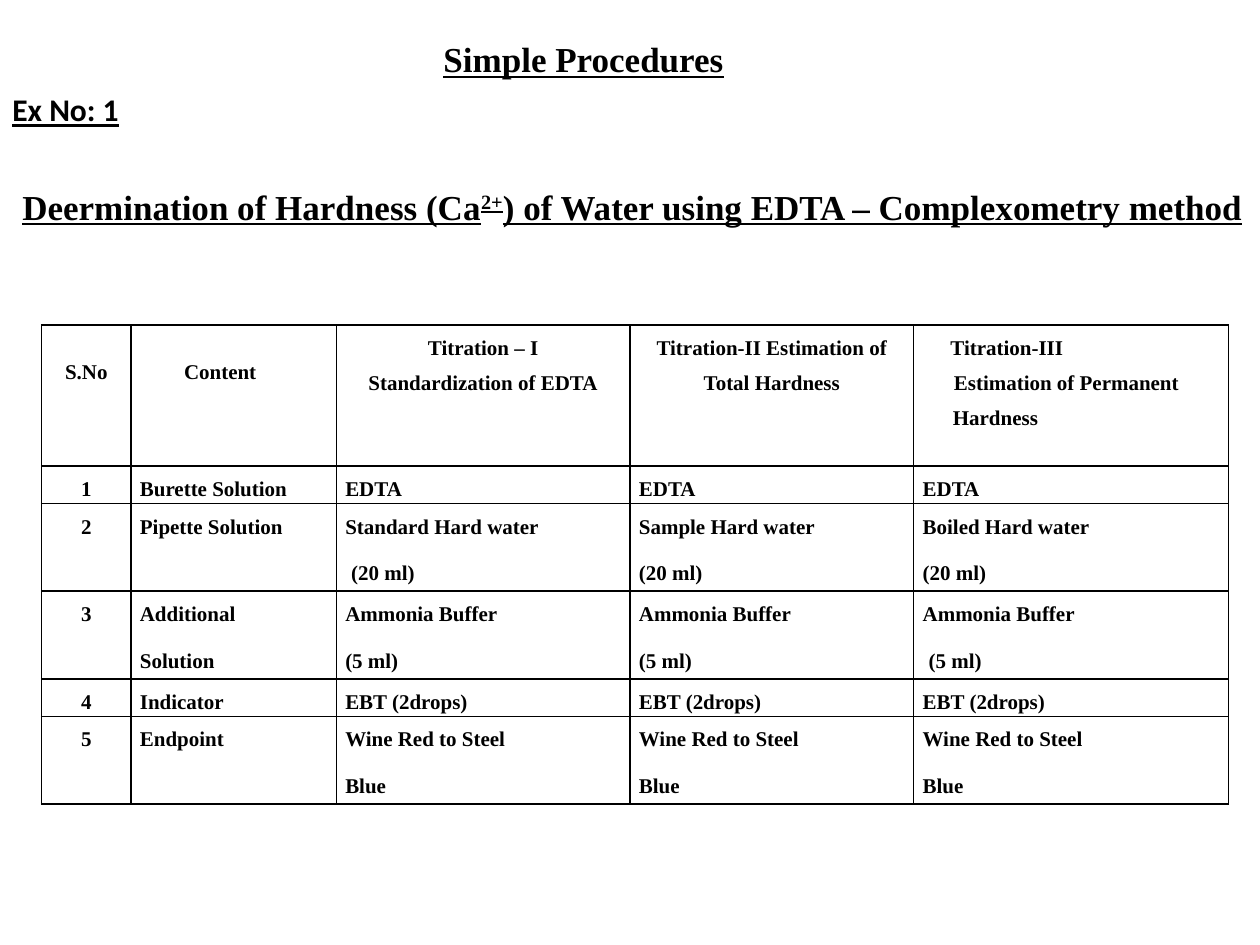
"""Build the slide on water hardness determination with its titration table."""
import pptx
import pptx.dml.color
import pptx.enum.text
import pptx.oxml
import pptx.oxml.ns
import pptx.util

Cm = pptx.util.Cm
Pt = pptx.util.Pt
CENTER = pptx.enum.text.PP_ALIGN.CENTER
BLACK = "000000"
SERIF = "Times New Roman"

HEADINGS = [
    ([("Simple Procedures", 0)], (8.69, 0.64, 6.2, 1.12), 20, SERIF),
    ([("Ex No: 1", 0)], (0, 1.7, 2.69, 1.02), 18, "Calibri"),
    ([("Deermination of Hardness (Ca", 0), ("2+", 30000),
      (") of Water using EDTA – Complexometry method", 0)],
     (0.2, 3.61, 25.35, 1.96), 20, SERIF),
]

TABLE_LEFT, TABLE_TOP = 0.84, 6.55
COLUMN_WIDTHS = [1.8, 4.14, 5.92, 5.72, 6.35]
ROW_HEIGHTS = [2.84, 0.71, 1.42, 1.42, 0.71, 1.42]
CELL_INDENT = 0.18
SHIFTED_INDENT = 0.3
HEADER_DROP = 0.48

HEADER = [
    (["S.No"], [0.18], CENTER, HEADER_DROP),
    (["Content"], [1.07], None, HEADER_DROP),
    (["Titration – I Standardization of EDTA"], [0.48], CENTER, 0),
    (["Titration-II Estimation of Total Hardness"], [0.36], CENTER, 0),
    (["Titration-III", "Estimation of Permanent", "Hardness"], [0.74, 0.81, 0.79], None, 0),
]
ROWS = [
    ["1", "Burette Solution", "EDTA", "EDTA", "EDTA"],
    ["2", "Pipette Solution", "Standard Hard water\n(20 ml)",
     "Sample Hard water\n(20 ml)", "Boiled Hard water\n(20 ml)"],
    ["3", "Additional\nSolution"] + ["Ammonia Buffer\n(5 ml)"] * 3,
    ["4", "Indicator"] + ["EBT (2drops)"] * 3,
    ["5", "Endpoint"] + ["Wine Red to Steel\nBlue"] * 3,
]
SHIFTED_CELLS = {(2, 2), (3, 4)}


def color(value):
    return pptx.dml.color.RGBColor.from_string(value)


def add_text(paragraph, text, size=12, font=SERIF, underline=None, baseline=0):
    run = paragraph.add_run()
    run.text = text
    run.font.size = Pt(size)
    run.font.name = font
    run.font.bold = True
    run.font.underline = underline
    run.font.color.rgb = color(BLACK)
    if baseline:
        run.font._element.set("baseline", str(baseline))


def add_heading(slide, runs, box, size, font):
    shape = slide.shapes.add_textbox(*(Cm(length) for length in box))
    shape.text_frame.word_wrap = False
    for text, baseline in runs:
        add_text(shape.text_frame.paragraphs[0], text, size=size, font=font,
                 underline=True, baseline=baseline)


def add_borders(cell):
    properties = cell._tc.get_or_add_tcPr()
    for position, side in enumerate(("lnL", "lnR", "lnT", "lnB")):
        properties.insert(position, pptx.oxml.parse_xml(
            f'<a:{side} {pptx.oxml.ns.nsdecls("a")} w="{Pt(1)}"><a:solidFill>'
            f'<a:srgbClr val="{BLACK}"/></a:solidFill></a:{side}>'))


def fill_cell(cell, lines, indents, alignment=None, top=0, gap=0):
    cell.margin_left = cell.margin_right = cell.margin_bottom = 0
    cell.margin_top = Cm(top)
    cell.fill.background()
    add_borders(cell)
    frame = cell.text_frame
    for index, (line, indent) in enumerate(zip(lines, indents)):
        paragraph = frame.add_paragraph() if index else frame.paragraphs[0]
        paragraph.alignment = alignment
        paragraph.line_spacing = 1.5
        paragraph.space_before = Pt(gap if index else 0)
        properties = paragraph._p.get_or_add_pPr()
        properties.set("marL", str(Cm(indent)))
        properties.set("indent", "0")
        if alignment == CENTER:
            properties.set("marR", str(Cm(indent)))
        add_text(paragraph, line)


def add_titration_table(slide):
    table = slide.shapes.add_table(
        len(ROW_HEIGHTS), len(COLUMN_WIDTHS), Cm(TABLE_LEFT), Cm(TABLE_TOP),
        Cm(sum(COLUMN_WIDTHS)), Cm(sum(ROW_HEIGHTS))).table
    table.first_row = table.horz_banding = False
    for column, width in zip(table.columns, COLUMN_WIDTHS):
        column.width = Cm(width)
    for row, height in zip(table.rows, ROW_HEIGHTS):
        row.height = Cm(height)
    for column_index, content in enumerate(HEADER):
        fill_cell(table.cell(0, column_index), *content)
    for row_index, row in enumerate(ROWS, start=1):
        for column_index, text in enumerate(row):
            shifted = (row_index, column_index) in SHIFTED_CELLS
            last_indent = SHIFTED_INDENT if shifted else CELL_INDENT
            numbered = column_index == 0
            fill_cell(table.cell(row_index, column_index), text.split("\n"),
                      [0] if numbered else [CELL_INDENT, last_indent],
                      alignment=CENTER if numbered else None, gap=6.8)


def main():
    presentation = pptx.Presentation()
    presentation.slide_width = Cm(25.4)
    presentation.slide_height = Cm(19.05)
    slide = presentation.slides.add_slide(presentation.slide_layouts[6])
    for heading in HEADINGS:
        add_heading(slide, *heading)
    add_titration_table(slide)
    presentation.save("out.pptx")


if __name__ == "__main__":
    main()
